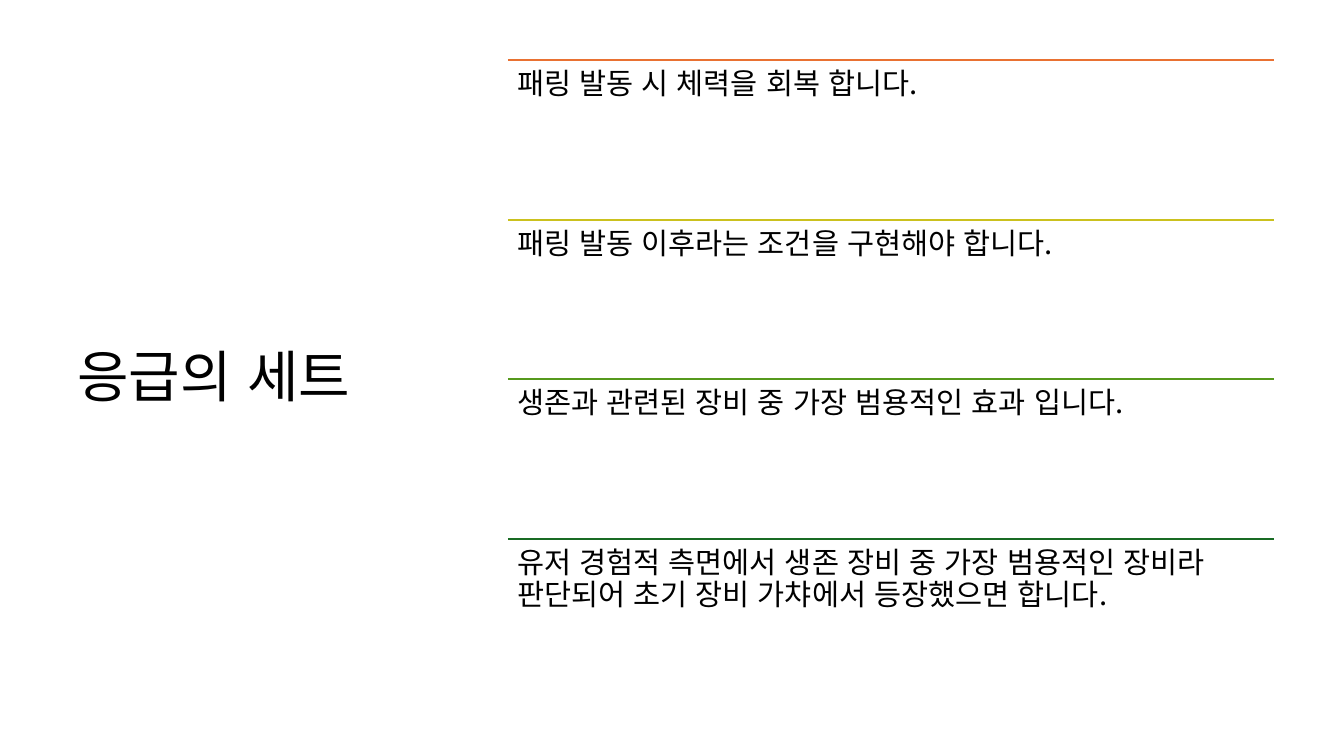
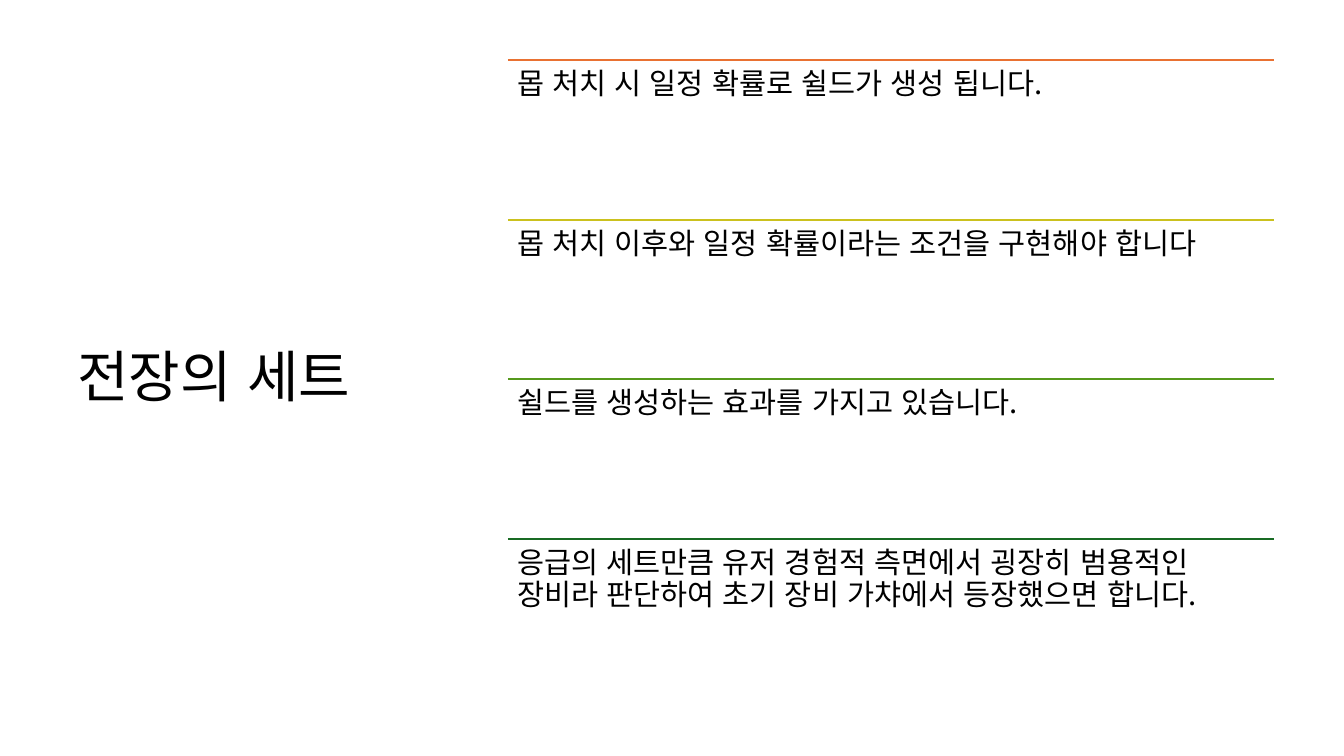
from dataclasses import dataclass

from lxml import etree
from pptx import Presentation
from pptx import util as u
from pptx.dml.color import RGBColor
from pptx.enum import lang, shapes, text
from pptx.oxml import ns

FONT = "Noto Sans CJK KR"
BLACK = "000000"
WHITE = "FFFFFF"
RULE_COLOURS = ("E97132", "CBC11E", "56991D", "196B24")

# Both columns share the same top and height
TOP = u.Cm(1.52)
HEIGHT = u.Cm(16.08)
TITLE_LEFT = u.Cm(1.7)
TITLE_WIDTH = u.Cm(9.7)
LIST_LEFT = u.Cm(12.8)
LIST_WIDTH = u.Cm(19.3)
ROW_HEIGHT = HEIGHT // len(RULE_COLOURS)
INSET = u.Cm(0.23)


@dataclass(frozen=True)
class EquipmentSet:
    title: str
    points: tuple[str, ...]


EQUIPMENT_SETS = (
    EquipmentSet("응급의 세트", (
        "패링 발동 시 체력을 회복 합니다.",
        "패링 발동 이후라는 조건을 구현해야 합니다.",
        "생존과 관련된 장비 중 가장 범용적인 효과 입니다.",
        "유저 경험적 측면에서 생존 장비 중 가장 범용적인 장비라 판단되어 "
        "초기 장비 가챠에서 등장했으면 합니다.",
    )),
    EquipmentSet("전장의 세트", (
        "몹 처치 시 일정 확률로 쉴드가 생성 됩니다.",
        "몹 처치 이후와 일정 확률이라는 조건을 구현해야 합니다",
        "쉴드를 생성하는 효과를 가지고 있습니다.",
        "응급의 세트만큼 유저 경험적 측면에서 굉장히 범용적인 장비라 판단하여 "
        "초기 장비 가챠에서 등장했으면 합니다.",
    )),
)


def colour(value: str) -> RGBColor:
    return RGBColor.from_string(value)


def write_text(frame, content: str, size: float, anchor) -> None:
    """Fill a text frame with one left-aligned Korean paragraph."""
    frame.word_wrap = True
    frame.auto_size = text.MSO_AUTO_SIZE.NONE
    frame.vertical_anchor = anchor
    paragraph = frame.paragraphs[0]
    paragraph.alignment = text.PP_ALIGN.LEFT
    paragraph.line_spacing = 0.9
    run = paragraph.add_run()
    run.text = content
    run.font.size = u.Pt(size)
    run.font.name = FONT
    run.font.language_id = lang.MSO_LANGUAGE_ID.KOREAN
    run.font.color.rgb = colour(BLACK)
    # Hangul takes its typeface from the East Asian font
    east_asian = etree.SubElement(run._r.get_or_add_rPr(), ns.qn("a:ea"))
    east_asian.set("typeface", FONT)


def add_title(slide, content: str) -> None:
    title = slide.shapes.title
    title.left, title.top = TITLE_LEFT, TOP
    title.width, title.height = TITLE_WIDTH, HEIGHT
    write_text(title.text_frame, content, 40, text.MSO_ANCHOR.MIDDLE)


def add_point(group, top: int, content: str, rule_colour: str) -> None:
    """Draw a coloured rule with its text below."""
    rule = group.shapes.add_connector(
        shapes.MSO_CONNECTOR.STRAIGHT, LIST_LEFT, top, LIST_LEFT + LIST_WIDTH, top)
    rule.line.color.rgb = colour(rule_colour)
    rule.line.width = u.Pt(1.5)
    etree.SubElement(rule._element.spPr, ns.qn("a:effectLst"))

    box = group.shapes.add_textbox(LIST_LEFT, top, LIST_WIDTH, ROW_HEIGHT)
    frame = box.text_frame
    frame.margin_left = frame.margin_right = INSET
    frame.margin_top = frame.margin_bottom = INSET
    write_text(frame, content, 21, text.MSO_ANCHOR.TOP)


def add_set_slide(presentation, equipment: EquipmentSet) -> None:
    slide = presentation.slides.add_slide(
        presentation.slide_layouts.get_by_name("Title Only"))
    add_title(slide, equipment.title)
    group = slide.shapes.add_group_shape()
    for row, (point, rule_colour) in enumerate(zip(equipment.points, RULE_COLOURS)):
        add_point(group, TOP + row * ROW_HEIGHT, point, rule_colour)


def main() -> None:
    presentation = Presentation()
    presentation.slide_width = u.Cm(33.87)
    presentation.slide_height = u.Cm(19.05)
    # White background for every slide
    background = presentation.slide_master.background.fill
    background.solid()
    background.fore_color.rgb = colour(WHITE)
    for equipment in EQUIPMENT_SETS:
        add_set_slide(presentation, equipment)
    presentation.save("out.pptx")


if __name__ == "__main__":
    main()
